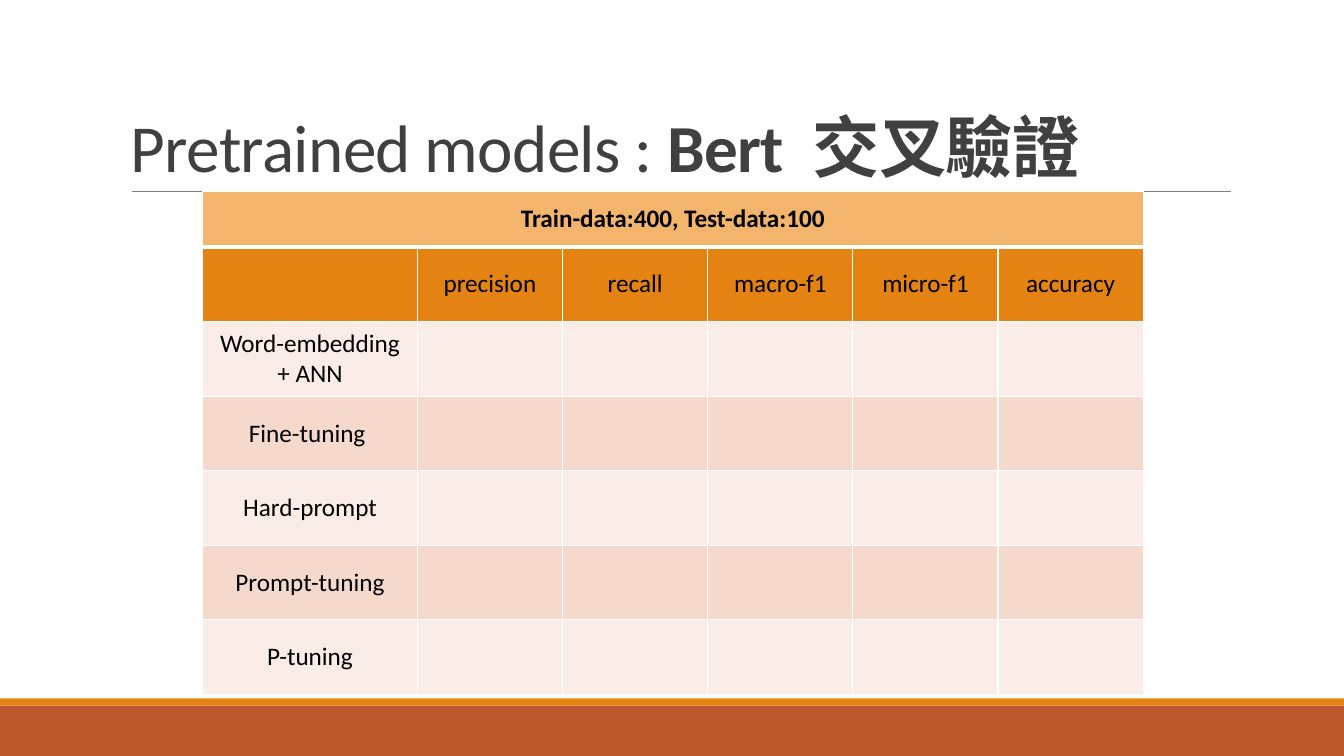
from dataclasses import dataclass

from lxml.etree import SubElement
from pptx import Presentation
from pptx.dml.color import RGBColor
from pptx.enum.shapes import MSO_CONNECTOR, MSO_SHAPE
from pptx.enum.text import MSO_ANCHOR, PP_ALIGN
from pptx.oxml.ns import qn
from pptx.util import Inches, Pt


@dataclass(frozen=True)
class Theme:
    font: str = "Calibri"
    title_size: int = 48
    table_size: int = 18
    title: str = "404040"
    text: str = "000000"
    border: str = "FFFFFF"
    rule: str = "808080"
    footer: str = "BD582C"
    accent: str = "E48312"
    banner: str = "F3B56C"
    bands: tuple = ("FAEDE7", "F5D9CC")


theme = Theme()


def add_text(paragraph, text, size=theme.table_size, color=theme.text, bold=False, spacing=None):
    run = paragraph.add_run()
    run.text = text
    run.font.name = theme.font
    run.font.size = Pt(size)
    run.font.bold = bold
    run.font.color.rgb = RGBColor.from_string(color)
    if spacing is not None:
        run.font._element.set("spc", str(round(spacing * 100)))


def style_cell(cell, fill, bottom_width):
    properties = cell._tc.get_or_add_tcPr()
    for side, width in (("lnL", 1), ("lnR", 1), ("lnT", 1), ("lnB", bottom_width)):
        line = SubElement(properties, qn(f"a:{side}"), w=str(Pt(width)))
        solid = SubElement(line, qn("a:solidFill"))
        SubElement(solid, qn("a:srgbClr"), val=theme.border)
    cell.fill.solid()
    cell.fill.fore_color.rgb = RGBColor.from_string(fill)
    cell.vertical_anchor = MSO_ANCHOR.MIDDLE


presentation = Presentation()
presentation.slide_width = Inches(13.33)
presentation.slide_height = Inches(7.5)
slide = presentation.slides.add_slide(presentation.slide_layouts[6])

for top, height, color in ((7, 0.5, theme.footer), (6.93, 0.07, theme.accent)):
    bar = slide.shapes.add_shape(
        MSO_SHAPE.RECTANGLE, 0, Inches(top), presentation.slide_width, Inches(height)
    )
    bar.shadow.inherit = False
    bar.fill.solid()
    bar.fill.fore_color.rgb = RGBColor.from_string(color)
    bar.line.fill.background()

title_rule = slide.shapes.add_connector(
    MSO_CONNECTOR.STRAIGHT, Inches(1.31), Inches(1.9), Inches(12.21), Inches(1.9)
)
title_rule.line.color.rgb = RGBColor.from_string(theme.rule)
title_rule.line.width = Pt(0.5)
SubElement(title_rule._element.spPr, qn("a:effectLst"))

title_box = slide.shapes.add_textbox(Inches(1.2), Inches(0.31), Inches(11), Inches(1.59))
title_frame = title_box.text_frame
title_frame.word_wrap = True
title_frame.vertical_anchor = MSO_ANCHOR.BOTTOM
title_paragraph = title_frame.paragraphs[0]
title_paragraph.line_spacing = 0.85
for text, bold, spacing in (
    ("Pretrained models : ", False, -0.5),
    ("Bert", True, -0.5),
    (" ", True, 10),
    ("交叉驗證", True, -0.5),
):
    add_text(
        title_paragraph, text, size=theme.title_size, color=theme.title, bold=bold, spacing=spacing
    )

metrics = ["precision", "recall", "macro-f1", "micro-f1", "accuracy"]
methods = ["Word-embedding\n+ ANN", "Fine-tuning ", "Hard-prompt", "Prompt-tuning", "P-tuning"]
rows = [["Train-data:400, Test-data:100"], ["", *metrics]] + [[method] for method in methods]
column_count = len(metrics) + 1
table_frame = slide.shapes.add_table(
    len(rows), column_count, Inches(2.01), Inches(1.9), Inches(9.35), Inches(4.99)
)
table = table_frame.table
for index, column in enumerate(table.columns):
    column.width = Inches(1.44 if index else 2.13)
for index, row in enumerate(table.rows):
    row.height = Inches(0.74 if index else 0.55)
table.cell(0, 0).merge(table.cell(0, column_count - 1))

fills = [theme.banner, theme.accent]
fills += [theme.bands[index % 2] for index in range(len(methods))]
for row_index, (texts, fill) in enumerate(zip(rows, fills)):
    for column_index in range(column_count):
        style_cell(table.cell(row_index, column_index), fill, 1 if row_index else 3)
    for column_index, text in enumerate(texts):
        if not text:
            continue
        frame = table.cell(row_index, column_index).text_frame
        for line_index, line_text in enumerate(text.split("\n")):
            paragraph = frame.add_paragraph() if line_index else frame.paragraphs[0]
            paragraph.alignment = PP_ALIGN.CENTER
            add_text(paragraph, line_text, bold=row_index == 0)

presentation.save("out.pptx")
